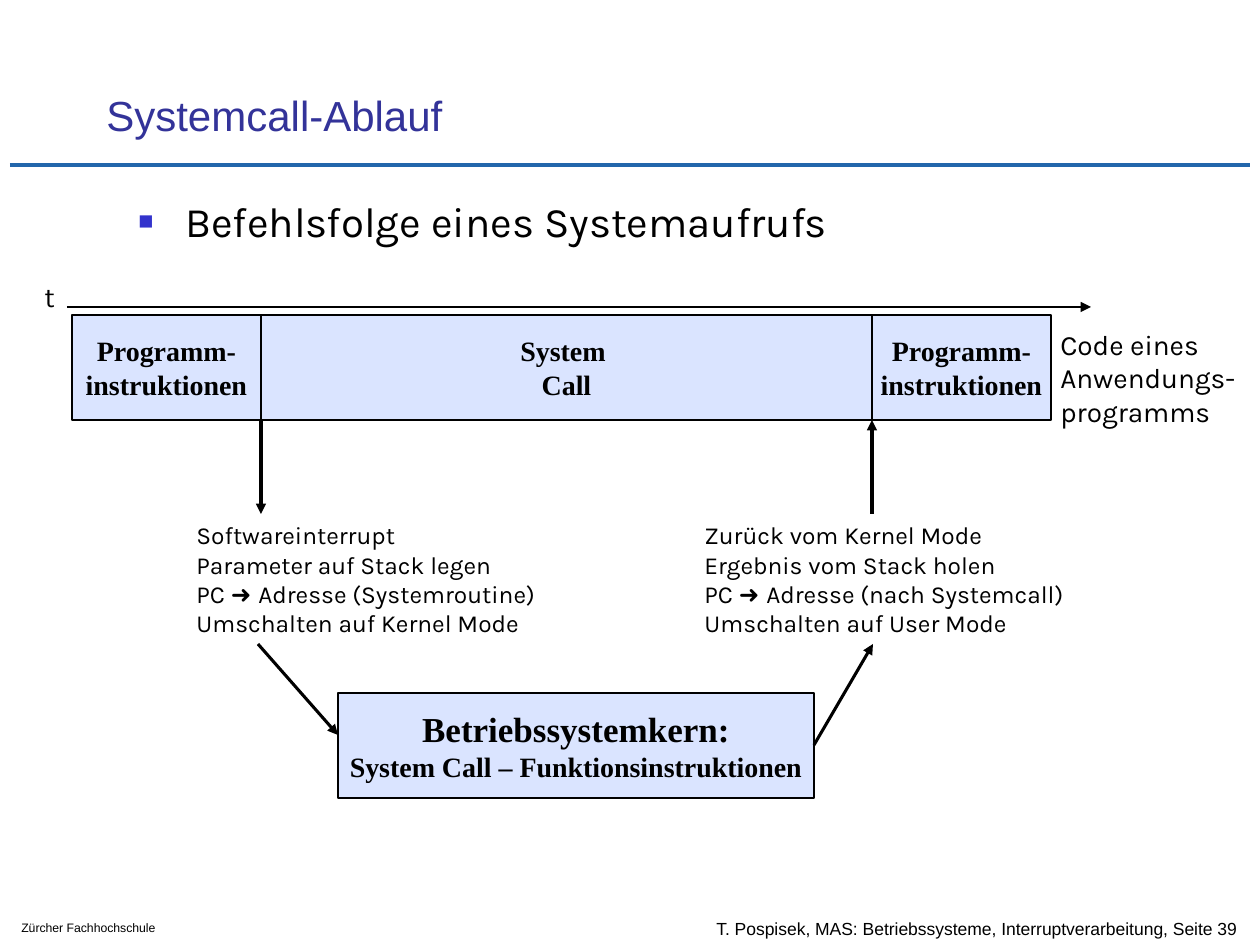
"""Build the slide on the course of a system call."""
from lxml import etree
from pptx import Presentation
from pptx import util as u
from pptx.dml.color import RGBColor
from pptx.enum import shapes, text
from pptx.oxml.ns import qn

PX = 914400 / 126
HUES = {"ink": "000000", "head": "333399", "rule": "2266AB", "mark": "3333CC", "box": "DAE4FF"}
MID, TOP, LOW = text.MSO_ANCHOR.MIDDLE, text.MSO_ANCHOR.TOP, text.MSO_ANCHOR.BOTTOM
CODE = ["Programm-", "instruktionen"]
ARROW = "➜ "

# left, top, width, height, lines, size, font, hue, anchor, wrap
TEXTS = [
    (94, 55, 1074, 91, ["Systemcall-Ablauf"], 24, "Arial", "head", LOW, True),
    (126, 189, 1071, 94, ["Befehlsfolge eines Systemaufrufs"], 24, "Karla", "ink", TOP, True),
    (704, 907, 667, 42, ["T. Pospisek, MAS: Betriebssysteme, Interruptverarbeitung, Seite 39"],
     10, "Arial", "ink", MID, True),
    (9, 914, 217, 28, ["Zürcher Fachhochschule"], 7, "Arial", "ink", TOP, True),
    (184, 514, 369, 130, ["Softwareinterrupt", "Parameter auf Stack legen",
                          "PC ➜ Adresse (Systemroutine)", "Umschalten auf Kernel Mode"],
     14, "Karla", "ink", TOP, False),
    (692, 514, 386, 130, ["Zurück vom Kernel Mode", "Ergebnis vom Stack holen",
                          "PC ➜ Adresse (nach Systemcall)", "Umschalten auf User Mode"],
     14, "Karla", "ink", TOP, False),
    (1048, 321, 207, 113, ["Code eines", "Anwendungs-", "programms"], 16, "Karla", "ink", TOP, False),
    (32, 273, 35, 47, ["t"], 16, "Karla", "ink", TOP, False),
]
# left, top, width, lines, sizes
BOXES = [
    (72, 315, 189, CODE, (16, 16)),
    (261, 315, 611, ["System ", "Call"], (16, 16)),
    (872, 315, 179, CODE, (16, 16)),
    (338, 693, 476, ["Betriebssystemkern:", "System Call – Funktionsinstruktionen"], (20, 16)),
]
HIGH = 105
# from x, from y, to x, to y, width, hue, has head
LINES = [
    (10, 165, 1250, 165, 2.5, "rule", False),
    (67, 307, 1091, 307, 0.75, "ink", True),
    (261, 420, 261, 514, 1.75, "ink", True),
    (258, 644, 338, 735, 1.75, "ink", True),
    (814, 745, 873, 644, 1.75, "ink", True),
    (872, 514, 872, 420, 1.75, "ink", True),
]


def px(*vals):
    return [u.Emu(round(v * PX)) for v in vals]


def hue(name):
    return RGBColor.from_string(HUES[name])


def apply(obj, vals):
    for key, val in vals.items():
        setattr(obj, key, val)


def add_run(para, words, size, face, tint, bold=False):
    run = para.add_run()
    run.text = words
    apply(run.font, {"size": u.Pt(size), "name": face, "bold": bold})
    run.font.color.rgb = hue(tint)


def paras(frame, lines):
    for num, line in enumerate(lines):
        yield (frame.add_paragraph() if num else frame.paragraphs[0]), line


def add_text(slide, x, y, w, h, lines, size, face, tint, anchor, wrap):
    frame = slide.shapes.add_textbox(*px(x, y, w, h)).text_frame
    apply(frame, {"word_wrap": wrap, "vertical_anchor": anchor})
    for para, line in paras(frame, lines):
        head, sign, tail = line.partition(ARROW)
        for words, font in ((head, face), (sign, "Arial"), (tail, face)):
            if words:
                add_run(para, words, size, font, tint)
    return frame


def add_bullet(para):
    props = para._p.get_or_add_pPr()
    left, hang = px(47, -47)
    props.set("marL", str(left))
    props.set("indent", str(hang))
    tint = etree.SubElement(props, qn("a:buClr"))
    etree.SubElement(tint, qn("a:srgbClr"), val=HUES["mark"])
    for tag, key, val in (("buSzPct", "val", "60000"), ("buFont", "typeface", "Arial"),
                          ("buChar", "char", "■")):
        etree.SubElement(props, qn("a:" + tag)).set(key, val)


def add_box(slide, x, y, w, lines, sizes):
    box = slide.shapes.add_shape(shapes.MSO_SHAPE.RECTANGLE, *px(x, y, w, HIGH))
    box.shadow.inherit = False
    box.fill.solid()
    box.fill.fore_color.rgb = hue("box")
    box.line.color.rgb = hue("ink")
    box.line.width = u.Pt(0.75)
    apply(box.text_frame, {"word_wrap": False, "vertical_anchor": MID})
    for (para, line), size in zip(paras(box.text_frame, lines), sizes):
        para.alignment = text.PP_ALIGN.CENTER
        add_run(para, line, size, "Times New Roman", "ink", True)


def add_line(slide, x1, y1, x2, y2, width, tint, head):
    line = slide.shapes.add_connector(shapes.MSO_CONNECTOR.STRAIGHT, *px(x1, y1, x2, y2))
    line.line.color.rgb = hue(tint)
    line.line.width = u.Pt(width)
    if head:
        etree.SubElement(line.line._get_or_add_ln(), qn("a:tailEnd"), type="triangle")
    etree.SubElement(line._element.spPr, qn("a:effectLst"))


def main():
    deck = Presentation()
    apply(deck, dict(zip(("slide_width", "slide_height"), px(1260, 945))))
    slide = deck.slides.add_slide(deck.slide_layouts[6])
    frames = [add_text(slide, *item) for item in TEXTS]
    add_bullet(frames[1].paragraphs[0])
    for item in BOXES:
        add_box(slide, *item)
    for item in LINES:
        add_line(slide, *item)
    deck.save("out.pptx")


if __name__ == "__main__":
    main()
